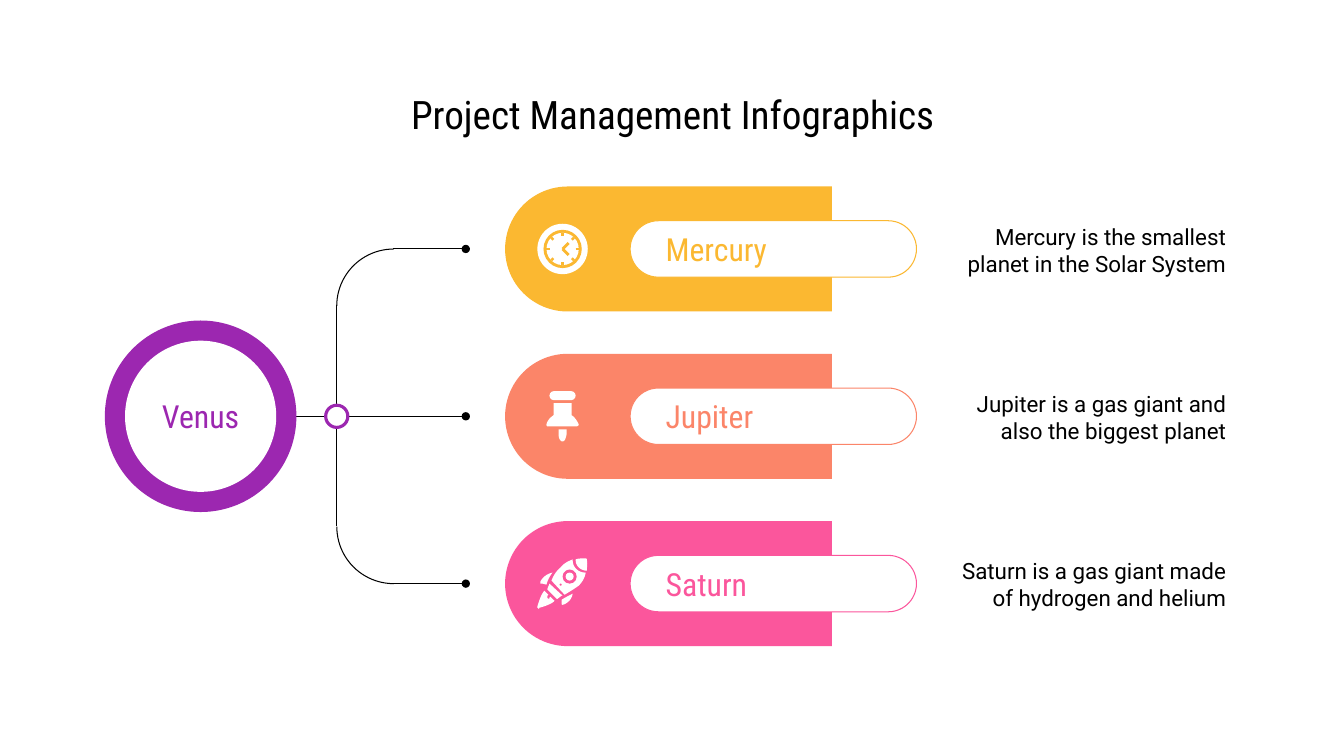
import math

import pptx
import pptx.dml.color
import pptx.enum.shapes
import pptx.enum.text
import pptx.oxml
import pptx.oxml.ns
import pptx.util

Inches = pptx.util.Inches
Pt = pptx.util.Pt
KIND = pptx.enum.shapes.MSO_SHAPE
ALIGN = pptx.enum.text.PP_ALIGN
ANCHOR = pptx.enum.text.MSO_ANCHOR

BLACK, WHITE, PURPLE = "000000", "FFFFFF", "9C27B0"
HEAD, BODY = "Roboto Condensed", "Roboto"

PIN = [
    "16 12;16 24;13 26 10 29 9 33;9 34 9 35 10 35;39 35;40 35 41 34 41 33;39 29 37 26 34 24;34 12",
    "21 38;21 42;21 44 21 47 23 49;23 49 24 50 25 50;26 50 26 49 27 49;28 47 29 44 29 42;29 38",
]
ROCKET = [
    "12 25;10 30;10 30 10 31 10 31;18 39;19 40 19 40 19 40;20 40 20 40 20 40;24 37;25 37",
    "46 0;43 0 40 0 38 1;38 2;38 7 42 11 47 12;49 12;49 9 50 5 49 1;49 1 49 0 48 0",
    "35 1;30 3 26 5 23 9;19 12 16 17 14 22;27 36;32 33 37 30 41 27;45 23 47 19 48 14;"
    "47 14;41 14 35 9 35 2",
    "35 35;31 37 27 39 24 41;24 43 24 45 24 45;24 46 25 46 25 46;26 46 34 43 35 35",
    "15 14;6 16 3 23 3 23;3 24 3 24 3 25;4 25 4 25 5 25;9 26;10 22 12 18 15 14",
    "7 32;4 35 1 44 0 48;0 48 0 49 0 49;1 49 1 50 1 50;2 50 2 49 2 49;6 48 15 45 17 42;"
    "17 42 17 42 16 41;13 38;12 39;12 40 12 40 11 40;11 40 10 40 10 39;10 39 10 38 10 37;"
    "11 36;8 33;8 33 8 33 7 32",
]


def color(code):
    return pptx.dml.color.RGBColor.from_string(code)


def write(shape, text, size=16, font=BODY, ink=BLACK, align=ALIGN.LEFT,
          anchor=ANCHOR.MIDDLE, left=0.13):
    frame = shape.text_frame
    frame.word_wrap = True
    frame.vertical_anchor = anchor
    frame.margin_left = Inches(left)
    frame.margin_right = frame.margin_top = frame.margin_bottom = Inches(0.13)
    para = frame.paragraphs[0]
    para.alignment = align
    run = para.add_run()
    run.text = text
    run.font.size = Pt(size)
    run.font.name = font
    run.font.color.rgb = color(ink)


class Board:
    def __init__(self, slide):
        self.shapes = slide.shapes

    def paint(self, shape, fill=None, line=None, width=0.75):
        shape.shadow.inherit = False
        if fill:
            shape.fill.solid()
            shape.fill.fore_color.rgb = color(fill)
        else:
            shape.fill.background()
        if line:
            shape.line.color.rgb = color(line)
            shape.line.width = Pt(width)
        else:
            shape.line.fill.background()
        return shape

    def shape(self, kind, x, y, w, h, turn=0, bend=(), **look):
        shape = self.shapes.add_shape(kind, Inches(x), Inches(y), Inches(w), Inches(h))
        shape.rotation = turn
        for i, value in enumerate(bend):
            shape.adjustments[i] = value
        return self.paint(shape, **look)

    def disc(self, x, y, r, **look):
        return self.shape(KIND.OVAL, x - r, y - r, 2 * r, 2 * r, **look)

    def text(self, x, y, w, h, text, **form):
        box = self.shapes.add_textbox(Inches(x), Inches(y), Inches(w), Inches(h))
        write(box, text, **form)

    def line(self, x1, y1, x2, y2, ink=BLACK, width=0.75, dot=False):
        line = self.shapes.add_connector(
            pptx.enum.shapes.MSO_CONNECTOR.STRAIGHT,
            Inches(x1), Inches(y1), Inches(x2), Inches(y2))
        line.line.color.rgb = color(ink)
        line.line.width = Pt(width)
        if dot:
            tail = pptx.oxml.ns.qn("a:tailEnd")
            line.line._get_or_add_ln().makeelement(tail, {})
            pptx.oxml.parse_xml
            mark = pptx.oxml.xmlchemy.OxmlElement("a:tailEnd")
            mark.set("type", "oval")
            line.line._get_or_add_ln().append(mark)
        line._element.spPr.append(pptx.oxml.xmlchemy.OxmlElement("a:effectLst"))

    def free(self, x, y, data, fill):
        spots = []
        for part in data.split(";"):
            nums = [int(n) for n in part.split()]
            if len(nums) == 2:
                spots.append(tuple(nums))
                continue
            a, b, c, d = spots[-1], nums[:2], nums[2:4], nums[4:]
            for t in (step / 8 for step in range(1, 9)):
                s = 1 - t
                spots.append(tuple(
                    s ** 3 * a[i] + 3 * s * s * t * b[i] + 3 * s * t * t * c[i] + t ** 3 * d[i]
                    for i in (0, 1)))
        spots = [(Inches(x + u / 100), Inches(y + v / 100)) for u, v in spots]
        path = self.shapes.build_freeform(*spots[0], scale=1.0)
        path.add_line_segments(spots[1:], close=True)
        self.paint(path.convert_to_shape(), fill=fill)


def draw_clock(board, x, y, ink):
    cx, cy = x + 0.25, y + 0.25
    board.disc(cx, cy, 0.25, fill=WHITE)
    board.disc(cx, cy, 0.19, fill=ink)
    board.disc(cx, cy, 0.16, fill=WHITE)
    for i in range(8):
        dx, dy = math.cos(i * math.pi / 4), math.sin(i * math.pi / 4)
        board.line(cx + 0.13 * dx, cy + 0.13 * dy, cx + 0.16 * dx, cy + 0.16 * dy,
                   ink=ink, width=1.75)
    for dy in (-0.06, 0.06):
        board.line(cx, cy, cx + 0.06, cy + dy, ink=ink, width=2)


def draw_pin(board, x, y, ink):
    board.shape(KIND.ROUNDED_RECTANGLE, x + 0.12, y, 0.26, 0.09, bend=[0.5], fill=WHITE)
    for data in PIN:
        board.free(x, y, data, WHITE)


def draw_rocket(board, x, y, ink):
    for data in ROCKET:
        board.free(x, y, data, WHITE)
    board.disc(x + 0.32, y + 0.18, 0.07, fill=ink)
    board.disc(x + 0.32, y + 0.18, 0.04, fill=WHITE)
    board.disc(x + 0.23, y + 0.26, 0.01, fill=ink)


def main():
    deck = pptx.Presentation()
    deck.slide_width, deck.slide_height = Inches(13.33), Inches(7.5)
    board = Board(deck.slides.add_slide(deck.slide_layouts[6]))
    board.text(1.04, 0.78, 11.26, 0.7, "Project Management Infographics",
               size=28, font=HEAD, align=ALIGN.CENTER)

    top, gap = 2.47, 1.66
    mid, low = top + gap, top + 2 * gap
    rows = [
        ("Mercury", "Mercury is the smallest planet in the Solar System", "FBB831", draw_clock),
        ("Jupiter", "Jupiter is a gas giant and also the biggest planet", "FB8569", draw_pin),
        ("Saturn", "Saturn is a gas giant made of hydrogen and helium", "FB569C", draw_rocket),
    ]
    for i, (name, fact, ink, draw) in enumerate(rows):
        y = top + i * gap
        board.shape(KIND.ROUND_2_SAME_RECTANGLE, 6.01, y - 1.62, 1.24, 3.24,
                    turn=270, bend=[0.5, 0], fill=ink)
        pill = board.shape(KIND.ROUNDED_RECTANGLE, 6.25, y - 0.28, 2.84, 0.56,
                           bend=[0.5], fill=WHITE, line=ink)
        write(pill, name, size=22.7, font=HEAD, ink=ink, left=0.27)
        board.text(9.25, y - 0.39, 3.04, 0.78, fact, align=ALIGN.RIGHT, anchor=ANCHOR.TOP)
        draw(board, 5.33, y - 0.25, ink)

    stem, side = 3.34, 1.13
    for y, edge, turn, bend in ((top, top, 270, 0.57), (low, low - side, 180, -0.57)):
        board.shape(KIND.ARC, stem, edge, side, side, turn=turn, line=BLACK)
        board.line(3.9, y, 4.62, y, dot=True)
        board.line(stem, y + bend, stem, mid)
    board.line(2.34, mid, 4.62, mid, dot=True)
    board.disc(stem, mid, 0.11, fill=WHITE, line=PURPLE, width=2.25)
    board.disc(1.99, mid, 0.95, fill=PURPLE)
    hub = board.disc(1.99, mid, 0.75, fill=WHITE)
    write(hub, "Venus", size=22.7, font=HEAD, ink=PURPLE, align=ALIGN.CENTER)
    deck.save("out.pptx")


if __name__ == "__main__":
    main()
